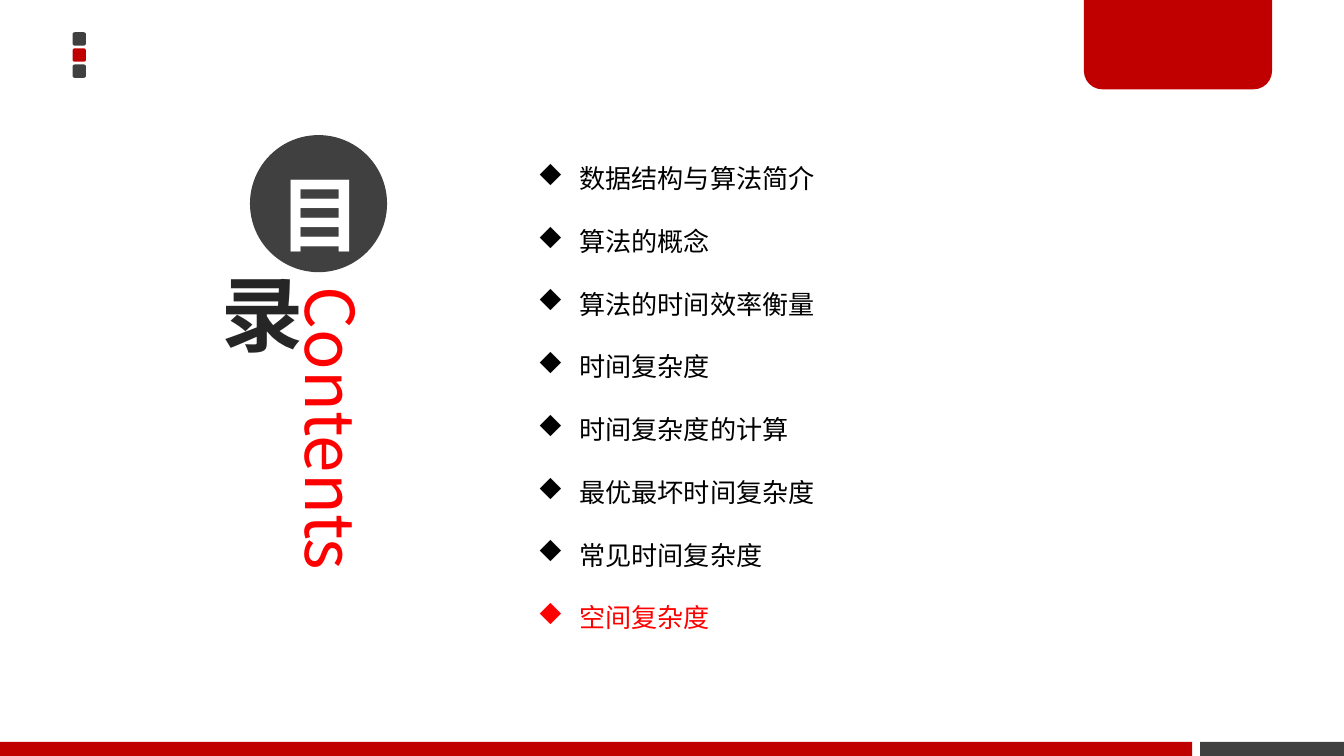
from lxml import etree
from pptx import Presentation
from pptx import util as u
from pptx.dml.color import RGBColor
from pptx.enum import shapes, text
from pptx.oxml.ns import qn

PX = 4572  # 200 px to the inch
FONT = "Noto Sans CJK SC"
RED = RGBColor(0xC0, 0x00, 0x00)
BRIGHT = RGBColor(0xFF, 0x00, 0x00)
GREY = RGBColor(0x40, 0x40, 0x40)
INK = RGBColor(0x26, 0x26, 0x26)
BLACK = RGBColor(0x00, 0x00, 0x00)
WHITE = RGBColor(0xFF, 0xFF, 0xFF)
KIND = shapes.MSO_SHAPE

TOPICS = ["数据结构与算法简介", "算法的概念", "算法的时间效率衡量", "时间复杂度",
          "时间复杂度的计算", "最优最坏时间复杂度", "常见时间复杂度", "空间复杂度"]
CURRENT = "空间复杂度"


def write(paragraph, words, size=14, color=BLACK, bold=False, align=text.PP_ALIGN.LEFT,
          spacing=None, outline=None):
    paragraph.alignment = align
    paragraph.space_before = u.Pt(0)
    if spacing:
        paragraph.line_spacing = spacing
    run = paragraph.add_run()
    run.text = words
    font = run.font
    font.size, font.bold, font.name = u.Pt(size), bold, FONT
    font.color.rgb = color
    props = run._r.get_or_add_rPr()
    etree.SubElement(props, qn("a:ea")).set("typeface", FONT)
    if outline:
        edge = etree.Element(qn("a:ln"), w=str(u.Pt(0.25)))
        fill = etree.SubElement(edge, qn("a:solidFill"))
        etree.SubElement(fill, qn("a:srgbClr")).set("val", str(outline))
        props.insert(0, edge)


class Deck:
    def __init__(self, width, height):
        self.prs = Presentation()
        self.prs.slide_width, self.prs.slide_height = width * PX, height * PX
        self.slide = self.prs.slides.add_slide(self.prs.slide_layouts[1])

    def place(self, item, x, y, w, h):
        item.left, item.top, item.width, item.height = (v * PX for v in (x, y, w, h))

    def insets(self, frame, left, top, right, bottom):
        frame.margin_left, frame.margin_top = left * PX, top * PX
        frame.margin_right, frame.margin_bottom = right * PX, bottom * PX

    def shape(self, kind, x, y, w, h, fill=None):
        item = self.slide.shapes.add_shape(kind, *(v * PX for v in (x, y, w, h)))
        item.shadow.inherit = False
        item.line.fill.background()
        if fill is None:
            item.fill.background()
        else:
            item.fill.solid()
            item.fill.fore_color.rgb = fill
        return item

    def character(self, words, x, y, size, fill=None, bottom=8, **style):
        frame = self.shape(KIND.OVAL, x, y, size, size, fill).text_frame
        self.insets(frame, 14, 8, 14, bottom)
        frame.vertical_anchor = text.MSO_ANCHOR.MIDDLE
        write(frame.paragraphs[0], words, size=44, bold=True,
              align=text.PP_ALIGN.CENTER, **style)

    def vertical_title(self, words, x, y, w, h, **style):
        title = self.slide.shapes.title
        self.place(title, x, y, w, h)
        frame = title.text_frame
        self.insets(frame, 14, 8, 14, 8)
        frame.auto_size = text.MSO_AUTO_SIZE.NONE
        frame.vertical_anchor = text.MSO_ANCHOR.TOP
        frame._txBody.bodyPr.set("vert", "eaVert")
        write(frame.paragraphs[0], words, **style)

    def bullets(self, items, current, x, y, w, h):
        body = self.slide.placeholders[1]
        self.place(body, x, y, w, h)
        frame = body.text_frame
        frame.auto_size = text.MSO_AUTO_SIZE.SHAPE_TO_FIT_TEXT
        for i, item in enumerate(items):
            line = frame.add_paragraph() if i else frame.paragraphs[0]
            props = line._p.get_or_add_pPr()
            props.set("marL", str(62 * PX))
            props.set("indent", str(-62 * PX))
            # Wingdings draws its letter u as a small diamond
            etree.SubElement(props, qn("a:buFont")).set("typeface", "Wingdings")
            etree.SubElement(props, qn("a:buChar")).set("char", "u")
            write(line, item, color=BRIGHT if item == current else BLACK, spacing=2.0)


def main():
    deck = Deck(2000, 1125)

    # Corner marks, hanging tab and footer bars
    for i, color in enumerate((GREY, RED, GREY)):
        deck.shape(KIND.ROUNDED_RECTANGLE, 108, 48 + 24 * i, 20, 20, color)
    tab = deck.shape(KIND.ROUND_2_SAME_RECTANGLE, 1613, -4, 280, 137, RED)
    tab.adjustments[0], tab.adjustments[1] = 0, 0.2
    deck.shape(KIND.RECTANGLE, 1786, 1104, 214, 21, GREY)
    deck.shape(KIND.RECTANGLE, 0, 1104, 1774, 21, RED)

    # Heading
    deck.vertical_title("Contents", 428, 419, 140, 578, size=36, color=BRIGHT)
    deck.character("目", 372, 201, 204, GREY, bottom=30, color=WHITE, spacing=u.Pt(70))
    deck.character("录", 292, 385, 160, color=INK, outline=WHITE)

    # Topics
    deck.bullets(TOPICS, CURRENT, 780, 185, 944, 760)

    deck.prs.save("out.pptx")


if __name__ == "__main__":
    main()
